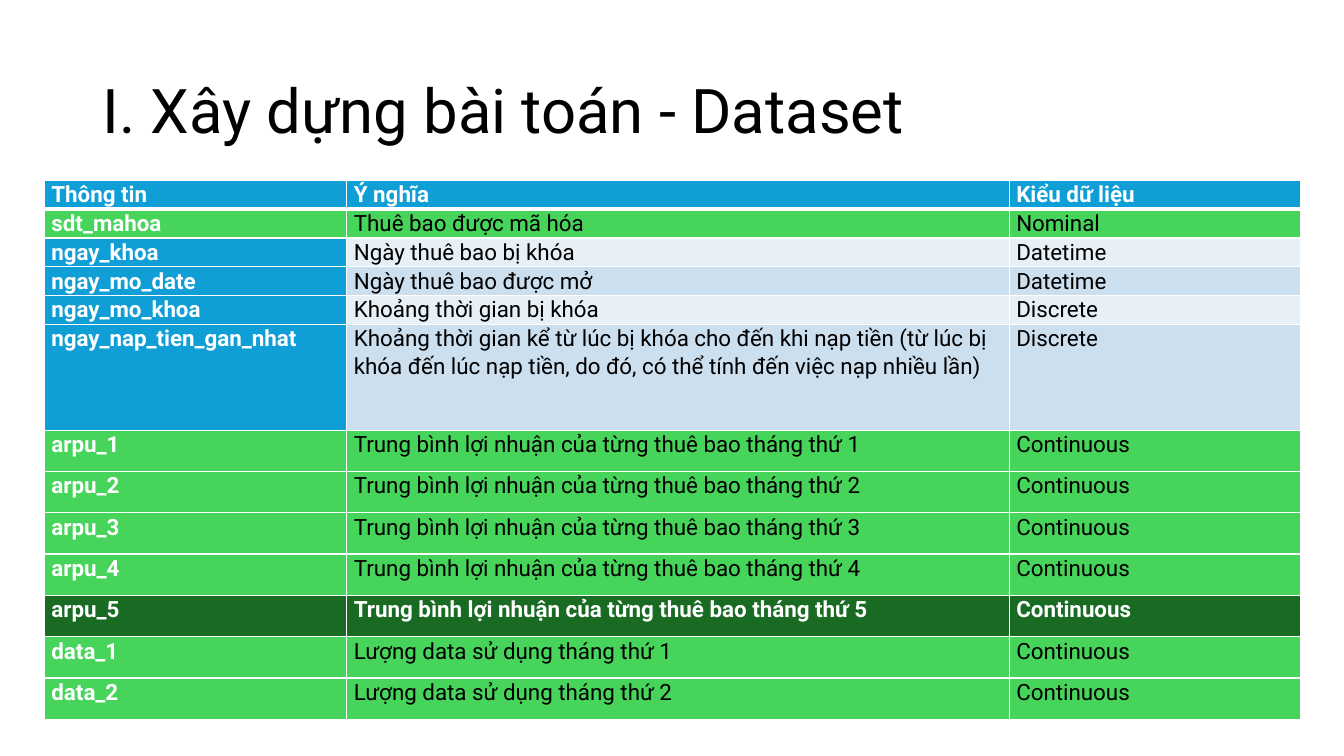
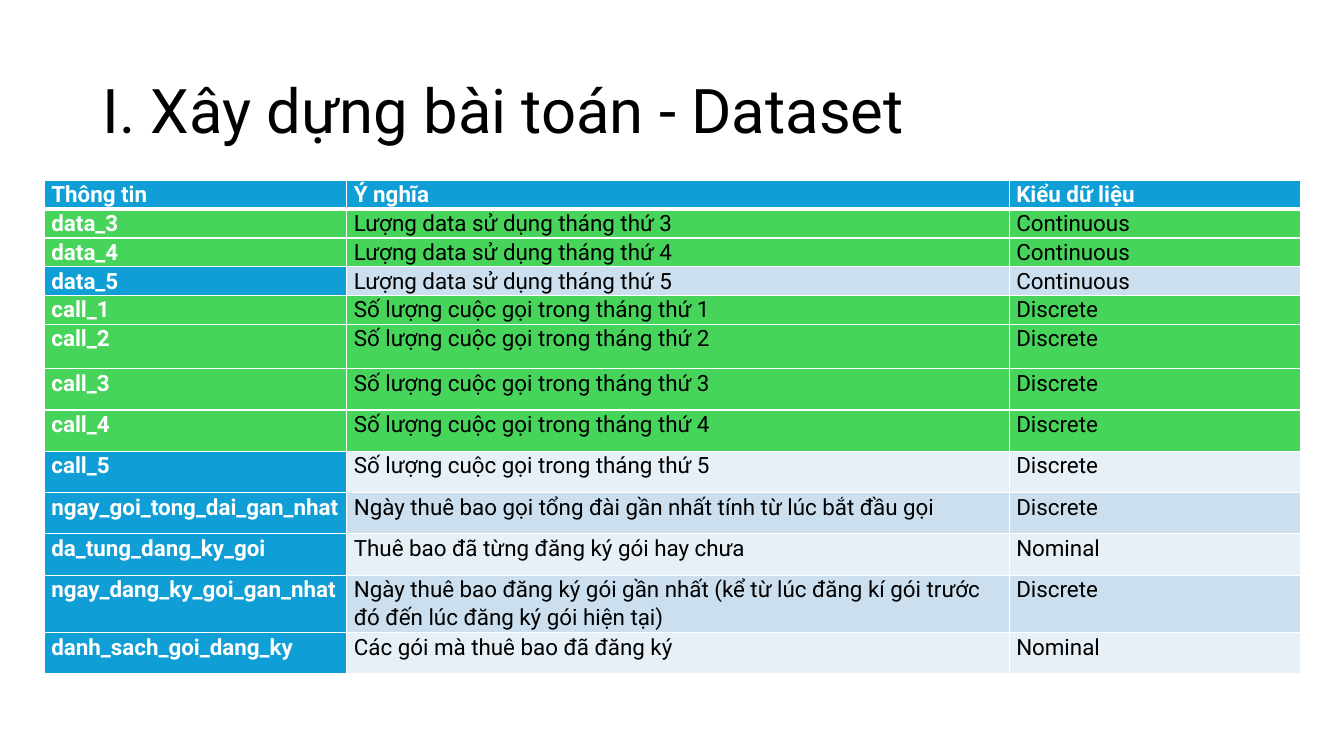
from lxml import etree
from pptx import Presentation
from pptx.dml.color import RGBColor
from pptx.enum.text import MSO_ANCHOR
from pptx.oxml.ns import qn
from pptx.util import Inches, Pt

MIDDLE = MSO_ANCHOR.MIDDLE
SLIDE_W, SLIDE_H = 13.33, 7.5
FONT = "Roboto"
COLORS = {
    "text": "000000", "white": "FFFFFF", "header": "0F9ED5",
    "selected": "47D45A", "target": "196B24",
    "band_even": "E7F0F7", "band_odd": "CCDFEF",
}

# Shared layout: left, top, width, height in inches
TITLE = "I. Xây dựng bài toán - Dataset"
TITLE_BOX = (0.92, 0.4, 11.5, 1.45)
TABLE_LEFT, TABLE_TOP = 0.44, 1.79
COL_WIDTHS = (3, 6.57, 2.89)
SHORT_ROW, TALL_ROW = 0.22, 0.41
SHORT_COUNT = 5
HEADER = ("Thông tin", "Ý nghĩa", "Kiểu dữ liệu")
ROWS_PER_SLIDE = 12


def monthly(name, meaning, kind, last="plain"):
    """Five monthly fields: the first four are selected."""
    return [(f"{name}_{m}", f"{meaning} tháng thứ {m}", kind,
             "selected" if m < 5 else last) for m in range(1, 6)]


# Name, meaning, data type, role
FIELDS = [
    ("sdt_mahoa", "Thuê bao được mã hóa", "Nominal", "selected"),
    ("ngay_khoa", "Ngày thuê bao bị khóa", "Datetime", "plain"),
    ("ngay_mo_date", "Ngày thuê bao được mở", "Datetime", "plain"),
    ("ngay_mo_khoa", "Khoảng thời gian bị khóa", "Discrete", "plain"),
    ("ngay_nap_tien_gan_nhat",
     "Khoảng thời gian kể từ lúc bị khóa cho đến khi nạp tiền (từ lúc bị khóa "
     "đến lúc nạp tiền, do đó, có thể tính đến việc nạp nhiều lần)",
     "Discrete", "plain"),
    *monthly("arpu", "Trung bình lợi nhuận của từng thuê bao", "Continuous", "target"),
    *monthly("data", "Lượng data sử dụng", "Continuous"),
    *monthly("call", "Số lượng cuộc gọi trong", "Discrete"),
    ("ngay_goi_tong_dai_gan_nhat",
     "Ngày thuê bao gọi tổng đài gần nhất tính từ lúc bắt đầu gọi",
     "Discrete", "plain"),
    ("da_tung_dang_ky_goi", "Thuê bao đã từng đăng ký gói hay chưa",
     "Nominal", "plain"),
    ("ngay_dang_ky_goi_gan_nhat",
     "Ngày thuê bao đăng ký gói gần nhất (kể từ lúc đăng kí gói trước đó "
     "đến lúc đăng ký gói hiện tại)", "Discrete", "plain"),
    ("danh_sach_goi_dang_ky", "Các gói mà thuê bao đã đăng ký",
     "Nominal", "plain"),
]


def rgb(key):
    return RGBColor.from_string(COLORS[key])


def add_run(p, text, size, color, bold=False):
    r = p.add_run()
    r.text = text
    r.font.name = FONT
    r.font.size = Pt(size)
    r.font.bold = bold
    r.font.color.rgb = rgb(color)


def add_title(s, box):
    tf = s.shapes.add_textbox(*map(Inches, box)).text_frame
    tf.word_wrap = True
    tf.vertical_anchor = MIDDLE
    p = tf.paragraphs[0]
    p.line_spacing = 0.9
    add_run(p, TITLE, 44, "text")


def set_borders(cell, top, bottom):
    """White borders; they stand before the fill in the cell properties."""
    tc_pr = cell._tc.get_or_add_tcPr()
    widths = {"lnL": 1, "lnR": 1, "lnT": top, "lnB": bottom}
    for i, (tag, width) in enumerate(widths.items()):
        ln = etree.Element(qn(f"a:{tag}"), w=str(Pt(width)))
        fill = etree.SubElement(ln, qn("a:solidFill"))
        etree.SubElement(fill, qn("a:srgbClr"), val=COLORS["white"])
        tc_pr.insert(i, ln)


def fill_cell(cell, text, fill, color, bold):
    cell.margin_left = cell.margin_right = Inches(0.07)
    cell.margin_top = cell.margin_bottom = 0
    cell.fill.solid()
    cell.fill.fore_color.rgb = rgb(fill)
    p = cell.text_frame.paragraphs[0]
    p.line_spacing = 1.07
    p.space_after = Pt(8)
    add_run(p, text, 16, color, bold)


def cell_style(row, col, role):
    """Fill, text colour and weight of a cell."""
    if role == "plain":
        if col == 0:
            return "header", "white", True
        return ("band_odd" if row % 2 else "band_even"), "text", False
    strong = col == 0 or role in ("header", "target")
    return role, "white" if strong else "text", strong


def add_field_table(s, left, top, height, fields, middle_row):
    rows = [(*HEADER, "header"), *fields]
    heights = [SHORT_ROW] * SHORT_COUNT + [middle_row]
    heights += [TALL_ROW] * (len(rows) - len(heights))
    frame = s.shapes.add_table(len(rows), len(HEADER), Inches(left), Inches(top),
                               Inches(sum(COL_WIDTHS)), Inches(height))
    table = frame.table
    for column, width in zip(table.columns, COL_WIDTHS):
        column.width = Inches(width)
    for i, (*texts, role) in enumerate(rows):
        table.rows[i].height = Inches(heights[i])
        for j, text in enumerate(texts):
            cell = table.cell(i, j)
            fill_cell(cell, text, *cell_style(i, j, role))
            set_borders(cell, 3 if i == 1 else 1, 3 if i == 0 else 1)
    frame.height = Inches(height)


def dataset_slide(prs, fields, table_height, middle_row):
    s = prs.slides.add_slide(prs.slide_layouts[6])
    add_title(s, TITLE_BOX)
    add_field_table(s, TABLE_LEFT, TABLE_TOP, table_height, fields, middle_row)


def main():
    prs = Presentation()
    prs.slide_width, prs.slide_height = Inches(SLIDE_W), Inches(SLIDE_H)
    dataset_slide(prs, FIELDS[:ROWS_PER_SLIDE], 5.32, 1.05)
    dataset_slide(prs, FIELDS[ROWS_PER_SLIDE:], 5, 0.44)
    prs.save("out.pptx")


if __name__ == "__main__":
    main()
